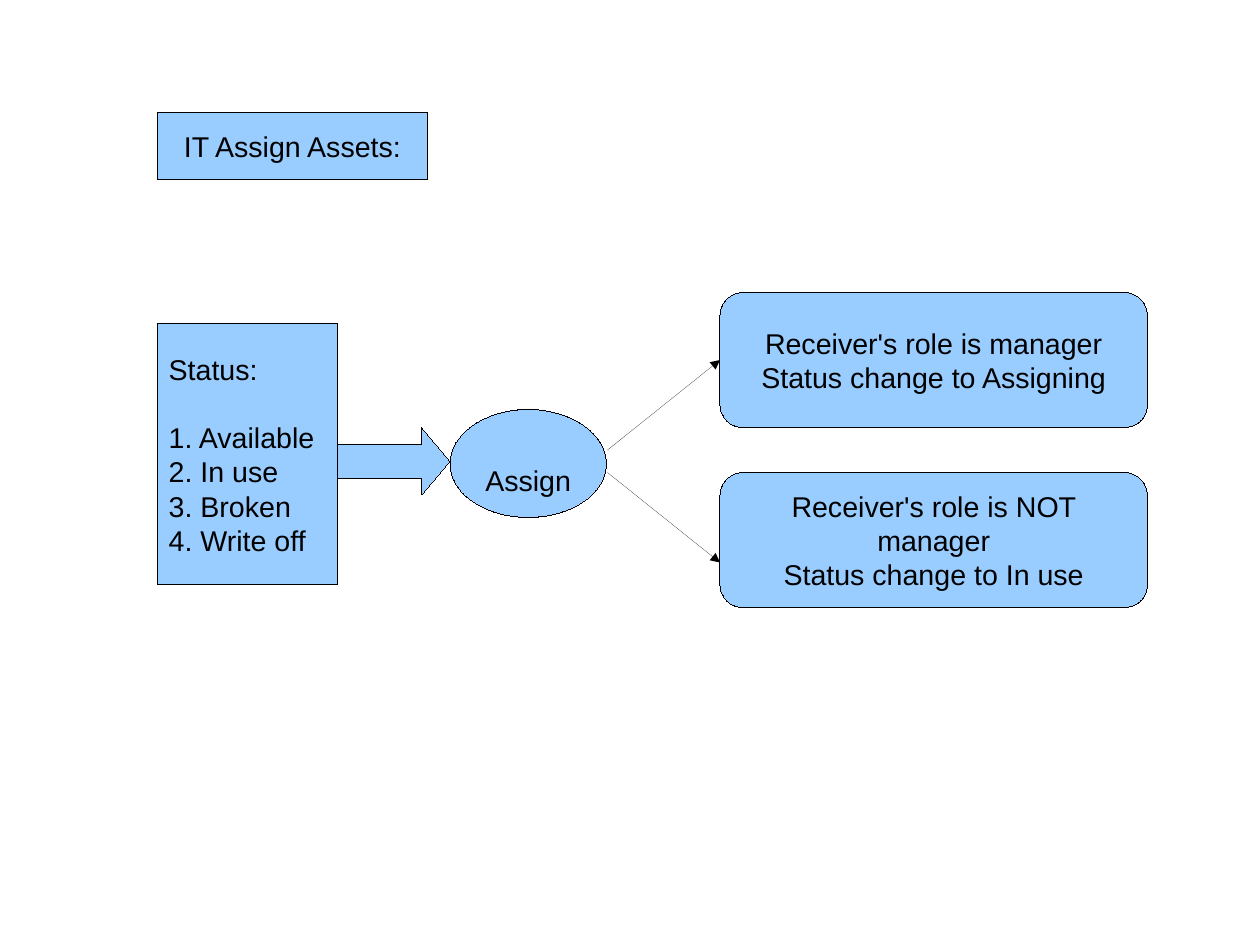
from lxml.etree import SubElement
from pptx import Presentation
from pptx.dml.color import RGBColor
from pptx.enum.shapes import MSO_CONNECTOR, MSO_SHAPE
from pptx.enum.text import MSO_ANCHOR, PP_ALIGN
from pptx.oxml.ns import qn
from pptx.util import Inches, Mm, Pt

HUES = {"fill": "99CCFF", "ink": "000000"}
COLS, ROWS, CELL = 56, 42, 5  # square grid cells of 5 mm
LEFT, MID = PP_ALIGN.LEFT, PP_ALIGN.CENTER

# Content: name, shape, (column, row, columns, rows), adjustments, alignment, lines
NODES = [
    ("title", MSO_SHAPE.RECTANGLE, (7, 5, 12, 3), [], MID, ["IT Assign Assets:"]),
    ("status", MSO_SHAPE.RECTANGLE, (7, 14.4, 8, 11.6), [], LEFT,
     ["Status:", "1. Available", "2. In use", "3. Broken", "4. Write off"]),
    ("arrow", MSO_SHAPE.RIGHT_ARROW, (15, 19, 5, 3), [0.5, 0.42], MID, []),
    ("assign", MSO_SHAPE.OVAL, (20, 18.2, 6.95, 4.8), [], MID, ["Assign"]),
    ("lead", MSO_SHAPE.ROUNDED_RECTANGLE, (32, 13, 19, 6), [0.17], MID,
     ["Receiver's role is manager", "Status change to Assigning"]),
    ("staff", MSO_SHAPE.ROUNDED_RECTANGLE, (32, 21, 19, 6), [0.17], MID,
     ["Receiver's role is NOT manager", "Status change to In use"]),
]
# Arrows: start and end as (column, row), node joined at its left side
LINKS = [((27, 20), (32, 16), "lead"), ((27, 21), (32, 25), None)]

FRAME = {"word_wrap": True, "vertical_anchor": MSO_ANCHOR.MIDDLE,
         "margin_left": Inches(0.1), "margin_right": Inches(0.1),
         "margin_top": Inches(0.05), "margin_bottom": Inches(0.05)}
FONT = {"name": "Arial", "size": Pt(18)}


def style(item, values):
    for key, value in values.items():
        setattr(item, key, value)


def hue(name):
    return RGBColor.from_string(HUES[name])


def grid(*counts):
    return [Mm(CELL * count) for count in counts]


def outline(item):
    item.line.color.rgb = hue("ink")
    edge = item.line._get_or_add_ln()
    edge.set("w", "0")  # hairline
    return edge


def add_node(slide, kind, spot, adjust, align, lines):
    node = slide.shapes.add_shape(kind, *grid(*spot))
    node.shadow.inherit = False
    node.fill.solid()
    node.fill.fore_color.rgb = hue("fill")
    outline(node)
    for at, value in enumerate(adjust):
        node.adjustments[at] = value
    frame = node.text_frame
    style(frame, FRAME)
    for at, text in enumerate(lines):
        para = frame.add_paragraph() if at else frame.paragraphs[0]
        para.alignment = align
        run = para.add_run()
        run.text = text
        style(run.font, FONT)
        run.font.color.rgb = hue("ink")
    return node


def add_link(slide, start, end, goal):
    link = slide.shapes.add_connector(MSO_CONNECTOR.STRAIGHT, *grid(*start, *end))
    SubElement(outline(link), qn("a:tailEnd"), type="triangle")
    SubElement(link._element.spPr, qn("a:effectLst"))
    if goal:
        link.end_connect(goal, 1)


def main():
    deck = Presentation()
    wide, high = grid(COLS, ROWS)
    style(deck, {"slide_width": wide, "slide_height": high})
    slide = deck.slides.add_slide(deck.slide_layouts[6])

    # Boxes, ellipse and block arrow
    nodes = {name: add_node(slide, *rest) for name, *rest in NODES}

    # A line's gap under the heading, and the label low in the ellipse
    nodes["status"].text_frame.paragraphs[1].space_before = Pt(21.5)
    nodes["assign"].text_frame.margin_top = Inches(0.34)

    # Thin arrows to the two outcomes
    for start, end, goal in LINKS:
        add_link(slide, start, end, nodes.get(goal))

    deck.save("out.pptx")


if __name__ == "__main__":
    main()
